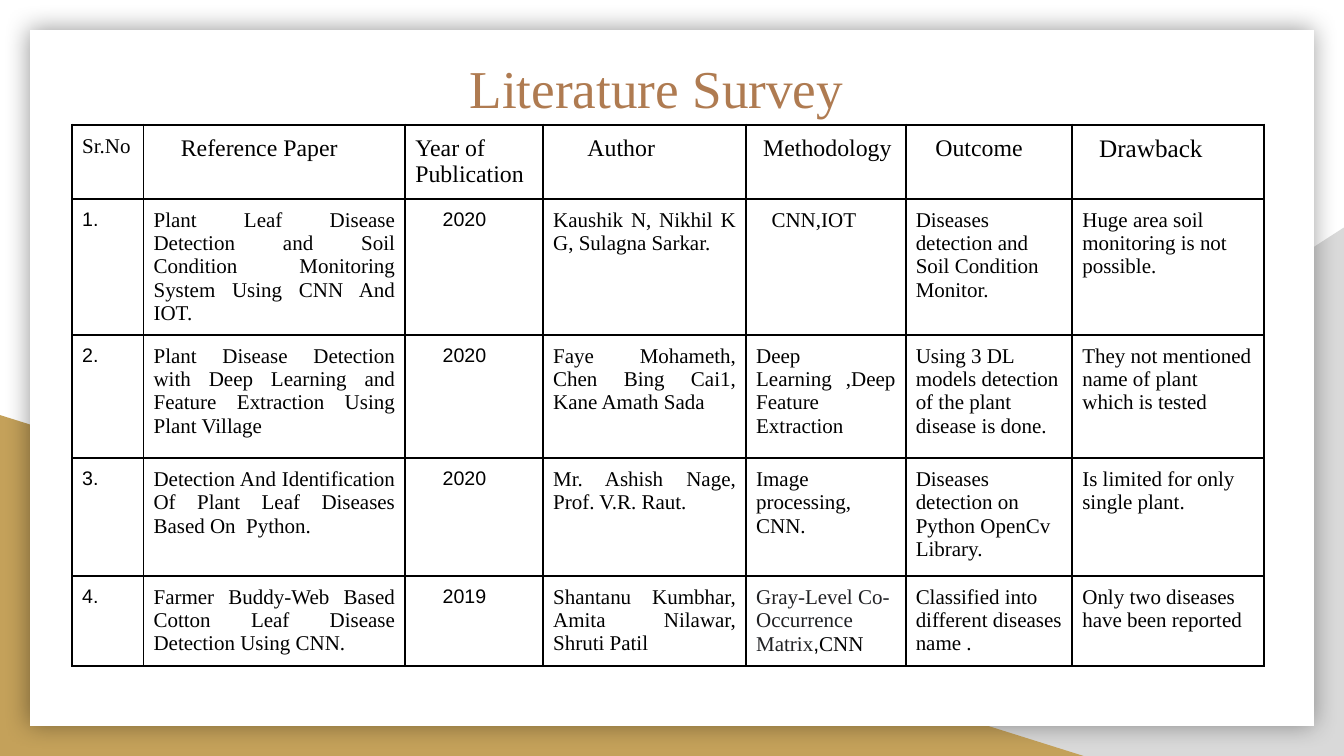
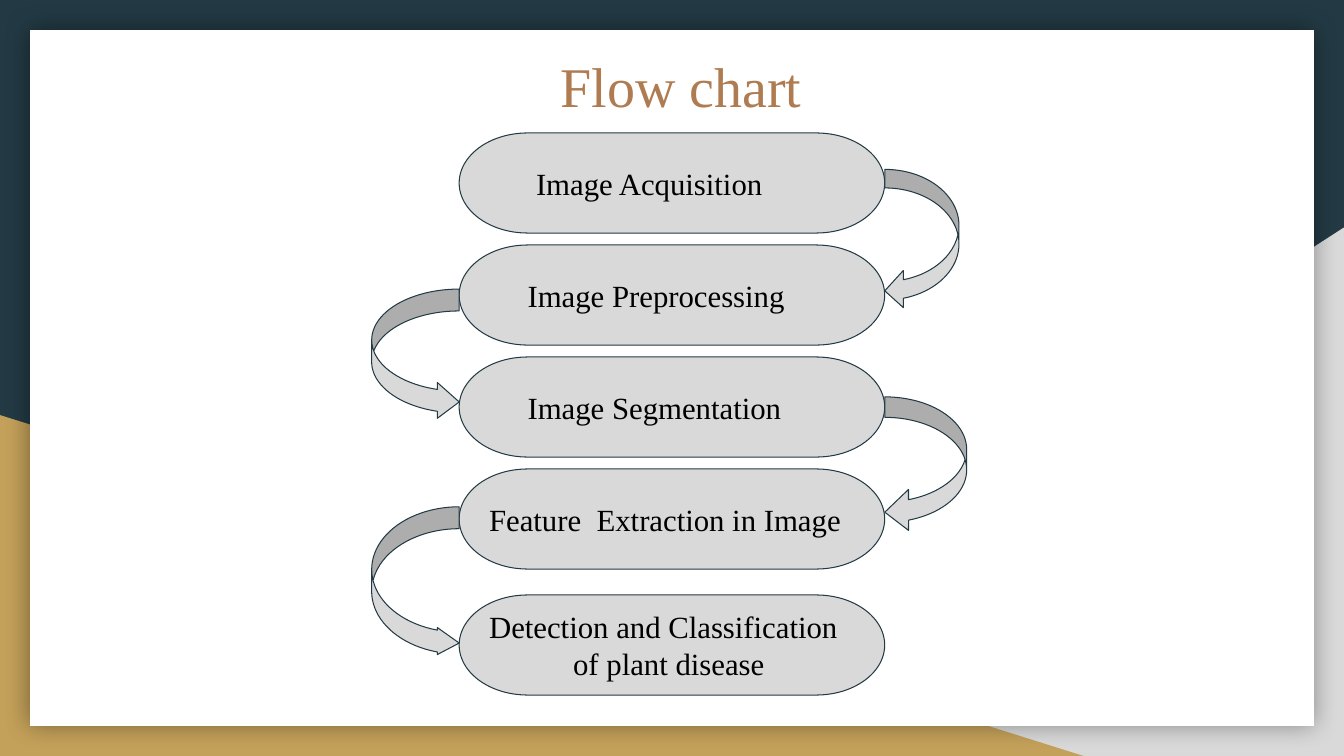
from itertools import product

from lxml import etree
from pptx import Presentation
from pptx.dml.color import RGBColor
from pptx.enum.shapes import MSO_SHAPE
from pptx.enum.text import MSO_ANCHOR, MSO_AUTO_SIZE, PP_ALIGN
from pptx.oxml.ns import qn
from pptx.util import Pt

WHITE = RGBColor(0xFF, 0xFF, 0xFF)
BLACK = RGBColor(0x00, 0x00, 0x00)
GREY = RGBColor(0xD9, 0xD9, 0xD9)
GOLD = RGBColor(0xC4, 0xA1, 0x5A)
NAVY = RGBColor(0x23, 0x3A, 0x44)
BROWN = RGBColor(0xAF, 0x7B, 0x51)
INK = RGBColor(0x20, 0x21, 0x24)

SERIF = "Times New Roman"
SANS = "Arial"
LEFT, CENTER, JUSTIFY = PP_ALIGN.LEFT, PP_ALIGN.CENTER, PP_ALIGN.JUSTIFY
MIDDLE = MSO_ANCHOR.MIDDLE
NO_FIT = MSO_AUTO_SIZE.NONE
TRIANGLE, RECTANGLE = MSO_SHAPE.RIGHT_TRIANGLE, MSO_SHAPE.RECTANGLE
TERMINATOR = MSO_SHAPE.FLOWCHART_TERMINATOR
LEFT_ARROW, RIGHT_ARROW = MSO_SHAPE.CURVED_LEFT_ARROW, MSO_SHAPE.CURVED_RIGHT_ARROW

SLIDE_WIDTH, SLIDE_HEIGHT = 960, 540
INSET = 7.2

COLUMN_WIDTHS = [51, 187, 98.5, 145, 114, 119, 137]
ROW_HEIGHTS = [53, 97, 88, 84, 64]
JUSTIFIED_COLUMNS = {1, 3, 4}
SANS_COLUMNS = {0, 2}
YEAR_INDENT = 19.5

HEADINGS = [
    ("Sr.No", 15, 0),
    ("Reference Paper", 17, 19.5),
    ("Year of Publication", 17, 0),
    ("Author", 17, 24.5),
    ("Methodology", 17, 5),
    ("Outcome", 17, 14),
    ("Drawback", 18, 12),
]
PAPERS = [
    ["1.", "Plant Leaf Disease Detection and Soil Condition Monitoring System Using CNN And IOT.",
     "2020", "Kaushik N, Nikhil K G, Sulagna Sarkar.", "CNN,IOT",
     "Diseases detection and Soil Condition Monitor.",
     "Huge area soil monitoring is not possible."],
    ["2.", "Plant Disease Detection with Deep Learning and Feature Extraction Using Plant Village",
     "2020", "Faye Mohameth, Chen Bing Cai1, Kane Amath Sada",
     "Deep Learning ,Deep Feature Extraction",
     "Using 3 DL models detection of the plant disease is done.",
     "They not mentioned name of plant which is tested"],
    ["3.", "Detection And Identification Of Plant Leaf Diseases Based On  Python.",
     "2020", "Mr. Ashish Nage, Prof. V.R. Raut.", "Image processing,\nCNN.",
     "Diseases detection on Python OpenCv Library.",
     "Is limited for only single plant."],
    ["4.", "Farmer Buddy-Web Based Cotton Leaf Disease Detection Using CNN.",
     "2019", "Shantanu Kumbhar, Amita Nilawar, Shruti Patil", "",
     "Classified into different diseases name .",
     "Only two diseases have been reported"],
]
MATRIX_SPANS = [
    ("Gray-Level Co-Occurrence Matrix", SERIF, INK),
    (",", SANS, BLACK),
    ("CNN", SERIF, BLACK),
]

STEP_WIDTH, STEP_HEIGHT = 304, 71.5
STEP_PITCH, LAST_STEP_DROP = 80, 10
STEPS = [
    [("Image Acquisition", 33.5)],
    [("Image Preprocessing", 27.5)],
    [("Image Segmentation", 27.5)],
    [("Feature  Extraction in Image", 0)],
    [("Detection and Classification", 0), ("of plant disease", 60)],
]
ARROWS = [
    (LEFT_ARROW, 26, 53, 100, (0.25, 0.5, 0.25)),
    (RIGHT_ARROW, 31.5, 62.5, 93.5, (0.25, 0.41, 0.25)),
    (LEFT_ARROW, 28.5, 58.5, 97, (0.25, 0.5, 0.29)),
    (RIGHT_ARROW, 27, 62.5, 107, (0.25, 0.31, 0.25)),
]


def add_part(page, kind, left, top, width, height, fill, line=None):
    part = page.shapes.add_shape(kind, Pt(left), Pt(top), Pt(width), Pt(height))
    part.shadow.inherit = False
    part.fill.solid()
    part.fill.fore_color.rgb = fill
    if line is None:
        part.line.fill.background()
    else:
        part.line.color.rgb = line
        part.line.width = Pt(0.75)
    return part


def style_span(span, size, font=SERIF, color=BLACK):
    span.font.size = Pt(size)
    span.font.name = font
    span.font.color.rgb = color


def style_paragraph(para, size, font=SERIF, color=BLACK, align=LEFT, indent=0):
    para.alignment = align
    if indent:
        para._p.get_or_add_pPr().set("marL", str(Pt(indent)))
    for span in para.runs:
        style_span(span, size, font, color)


def set_insets(holder):
    holder.margin_left = holder.margin_right = Pt(INSET)
    holder.margin_top = holder.margin_bottom = Pt(INSET)


def add_glow(part):
    effects = part.element.spPr.find(qn("a:effectLst"))
    shadow = etree.SubElement(effects, qn("a:outerShdw"), blurRad=str(Pt(18)), dist="0", dir="0")
    color = etree.SubElement(shadow, qn("a:srgbClr"), val=str(BLACK))
    etree.SubElement(color, qn("a:alpha"), val="40000")


def decorate_layout(layout, page):
    grey_corner = add_part(page, TRIANGLE, 376, 162.5, 584, 377.5, GREY)
    grey_corner.element.spPr.find(qn("a:xfrm")).set("flipH", "1")
    gold_corner = add_part(page, TRIANGLE, 0, 296.5, 774, 243.5, GOLD)
    panel = add_part(page, RECTANGLE, 21.5, 21.5, 917, 497, WHITE)
    add_glow(panel)
    for part in (grey_corner, gold_corner, panel):
        part.element.nvSpPr.cNvPr.set("id", str(part.shape_id + 100))
        layout.shapes.element.append(part.element)


def set_backdrop(page, color):
    page.background.fill.solid()
    page.background.fill.fore_color.rgb = color


def set_title(page, text, size, center, middle):
    width, height = 600, 56
    title = page.shapes.title
    title.left, title.top = Pt(center - width / 2), Pt(middle - height / 2)
    title.width, title.height = Pt(width), Pt(height)
    frame = title.text_frame
    frame.text = text
    frame.auto_size = NO_FIT
    frame.vertical_anchor = MIDDLE
    style_paragraph(frame.paragraphs[0], size, color=BROWN, align=CENTER)


def add_borders(cell):
    properties = cell._tc.get_or_add_tcPr()
    for index, side in enumerate(("a:lnL", "a:lnR", "a:lnT", "a:lnB")):
        border = etree.Element(qn(side), w=str(Pt(1.5)))
        fill = etree.SubElement(border, qn("a:solidFill"))
        etree.SubElement(fill, qn("a:srgbClr"), val=str(BLACK))
        properties.insert(index, border)


def fill_heading(cell, column):
    text, size, indent = HEADINGS[column]
    cell.text_frame.text = text
    style_paragraph(cell.text_frame.paragraphs[0], size, indent=indent)


def fill_entry(cell, text, column):
    cell.text_frame.text = text
    sans = column in SANS_COLUMNS
    size, font = (14, SANS) if sans else (15, SERIF)
    align = JUSTIFY if column in JUSTIFIED_COLUMNS else LEFT
    indent = YEAR_INDENT if column == 2 else 11 if text == "CNN,IOT" else 0
    for para in cell.text_frame.paragraphs:
        style_paragraph(para, size, font, align=align, indent=indent)


def fill_matrix_entry(cell):
    para = cell.text_frame.paragraphs[0]
    for text, font, color in MATRIX_SPANS:
        span = para.add_run()
        span.text = text
        style_span(span, 15, font, color)


def add_survey_table(page, left, top):
    rows, columns = len(ROW_HEIGHTS), len(COLUMN_WIDTHS)
    table = page.shapes.add_table(rows, columns, Pt(left), Pt(top),
                                  Pt(sum(COLUMN_WIDTHS)), Pt(sum(ROW_HEIGHTS))).table
    table.first_row = table.horz_banding = False
    for column, width in zip(table.columns, COLUMN_WIDTHS):
        column.width = Pt(width)
    for row, height in zip(table.rows, ROW_HEIGHTS):
        row.height = Pt(height)
    for row, column in product(range(rows), range(columns)):
        cell = table.cell(row, column)
        set_insets(cell)
        cell.fill.solid()
        cell.fill.fore_color.rgb = WHITE
        add_borders(cell)
        if row == 0:
            fill_heading(cell, column)
        elif PAPERS[row - 1][column]:
            fill_entry(cell, PAPERS[row - 1][column], column)
        else:
            fill_matrix_entry(cell)


def add_step(page, lines, left, top):
    step = add_part(page, TERMINATOR, left, top, STEP_WIDTH, STEP_HEIGHT, GREY, NAVY)
    frame = step.text_frame
    frame.word_wrap = True
    frame.vertical_anchor = MIDDLE
    set_insets(frame)
    frame.text = "\n".join(text for text, _ in lines)
    for para, (_, indent) in zip(frame.paragraphs, lines):
        style_paragraph(para, 22, indent=indent)


def add_flow(page, left, top):
    for index, lines in enumerate(STEPS):
        drop = LAST_STEP_DROP if index == len(STEPS) - 1 else 0
        add_step(page, lines, left, top + index * STEP_PITCH + drop)
    for index, (kind, offset, width, height, adjustments) in enumerate(ARROWS):
        arrow_left = left + STEP_WIDTH if kind == LEFT_ARROW else left - width
        arrow = add_part(page, kind, arrow_left, top + index * STEP_PITCH + offset,
                         width, height, GREY, NAVY)
        for position, value in enumerate(adjustments):
            arrow.adjustments[position] = value


def build_survey(page):
    set_backdrop(page, WHITE)
    set_title(page, "Literature Survey", 38, 469, 62)
    add_survey_table(page, 51.5, 89)


def build_flow_chart(page):
    set_backdrop(page, NAVY)
    set_title(page, "Flow chart", 40, 486.5, 61)
    add_flow(page, 328, 95)


def main():
    deck = Presentation()
    deck.slide_width, deck.slide_height = Pt(SLIDE_WIDTH), Pt(SLIDE_HEIGHT)
    layout = deck.slide_layouts[5]
    survey = deck.slides.add_slide(layout)
    flow_chart = deck.slides.add_slide(layout)
    decorate_layout(layout, survey)
    build_survey(survey)
    build_flow_chart(flow_chart)
    deck.save("out.pptx")


if __name__ == "__main__":
    main()
